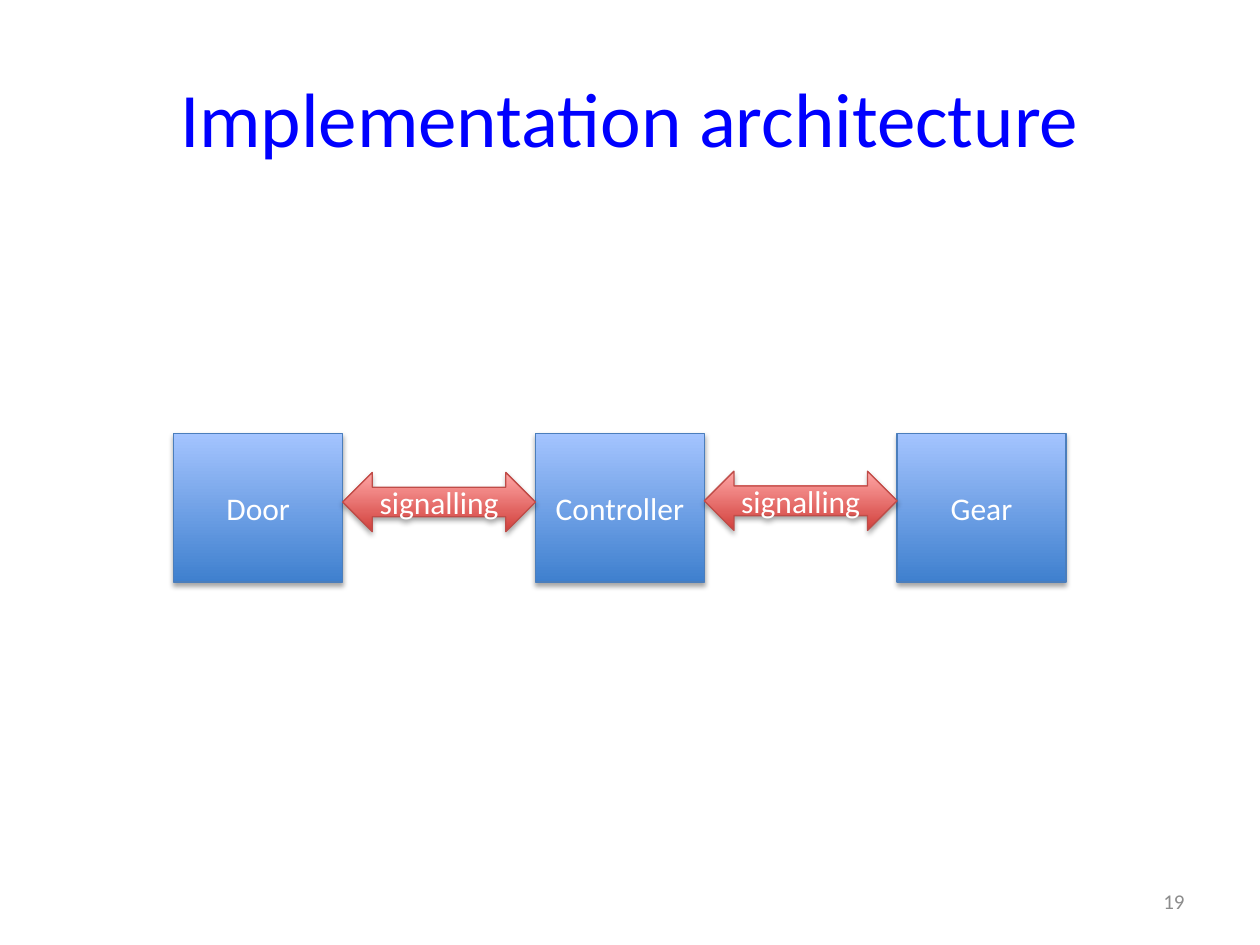
from lxml import etree
from pptx import Presentation
from pptx.dml.color import RGBColor
from pptx.enum.shapes import MSO_SHAPE
from pptx.enum.text import MSO_ANCHOR, PP_ALIGN
from pptx.oxml.ns import qn
from pptx.util import Inches, Pt

RECT, ARROW = MSO_SHAPE.RECTANGLE, MSO_SHAPE.LEFT_RIGHT_ARROW
MIDDLE = MSO_ANCHOR.MIDDLE
CENTER, RIGHT = PP_ALIGN.CENTER, PP_ALIGN.RIGHT

# Content
TITLE = "Implementation architecture"
NUMBER = "19"
PARTS = ["Door", "Controller", "Gear"]
LINKS = [("signalling", 3.75), ("signalling", 3.74)]  # label, top

COLORS = {"title": "0000FF", "number": "8C8C8C", "label": "FFFFFF",
          "shadow": "000000"}
BOX = {"low": "3F80CE", "high": "A4C4FF", "line": "4B7EBC"}
LINK = {"low": "D1403C", "high": "FFA6A5", "line": "BF4C48"}

# Layout in inches
LEFT, TOP, WIDE, HIGH = 1.38, 3.44, 1.34, 1.18
GAP, THICK = 1.53, 0.47


def rgb(code):
    return RGBColor.from_string(code)


def write(shape, text, size, color, align):
    frame = shape.text_frame
    frame.word_wrap = True
    frame.vertical_anchor = MIDDLE
    para = frame.paragraphs[0]
    para.text = text
    para.alignment = align
    look = {"name": "Calibri", "size": Pt(size)}
    for key, value in look.items():
        setattr(para.font, key, value)
    para.font.color.rgb = rgb(COLORS[color])


def shade(shape):
    shape.shadow.inherit = False
    effects = shape._element.spPr.find(qn("a:effectLst"))
    outer = etree.SubElement(effects, qn("a:outerShdw"), {
        "blurRad": str(Pt(3.1)), "dist": str(Pt(1.8)),
        "dir": "5400000", "rotWithShape": "0"})
    color = etree.SubElement(outer, qn("a:srgbClr"), val=COLORS["shadow"])
    etree.SubElement(color, qn("a:alpha"), val="35000")


def draw(slide, kind, place, text, tones):
    shape = slide.shapes.add_shape(kind, *map(Inches, place))
    shape.fill.gradient()
    shape.fill.gradient_angle = 90
    for stop, tone, spot in zip(shape.fill.gradient_stops,
                                ("low", "high"), (0, 1)):
        stop.color.rgb = rgb(tones[tone])
        stop.position = spot
    shape.line.color.rgb = rgb(tones["line"])
    shape.line.width = Pt(0.75)
    shade(shape)
    write(shape, text, 18, "label", CENTER)


def main():
    deck = Presentation()
    deck.slide_width, deck.slide_height = Inches(10), Inches(7.5)
    slide = deck.slides.add_slide(deck.slide_layouts[5])

    # Title and slide number
    title = slide.shapes.title
    spots = zip(("left", "top", "width", "height"), (0.5, 0.3, 9, 1.25))
    for key, value in spots:
        setattr(title, key, Inches(value))
    write(title, TITLE, 44, "title", CENTER)
    number = slide.shapes.add_textbox(*map(Inches, (7.17, 6.95, 2.33, 0.4)))
    write(number, NUMBER, 12, "number", RIGHT)

    # Components, then the arrows filling the gaps
    step = WIDE + GAP
    for i, name in enumerate(PARTS):
        draw(slide, RECT, (LEFT + i * step, TOP, WIDE, HIGH), name, BOX)
    for i, (name, top) in enumerate(LINKS):
        left = LEFT + WIDE + i * step
        draw(slide, ARROW, (left, top, GAP, THICK), name, LINK)

    deck.save("out.pptx")


if __name__ == "__main__":
    main()
